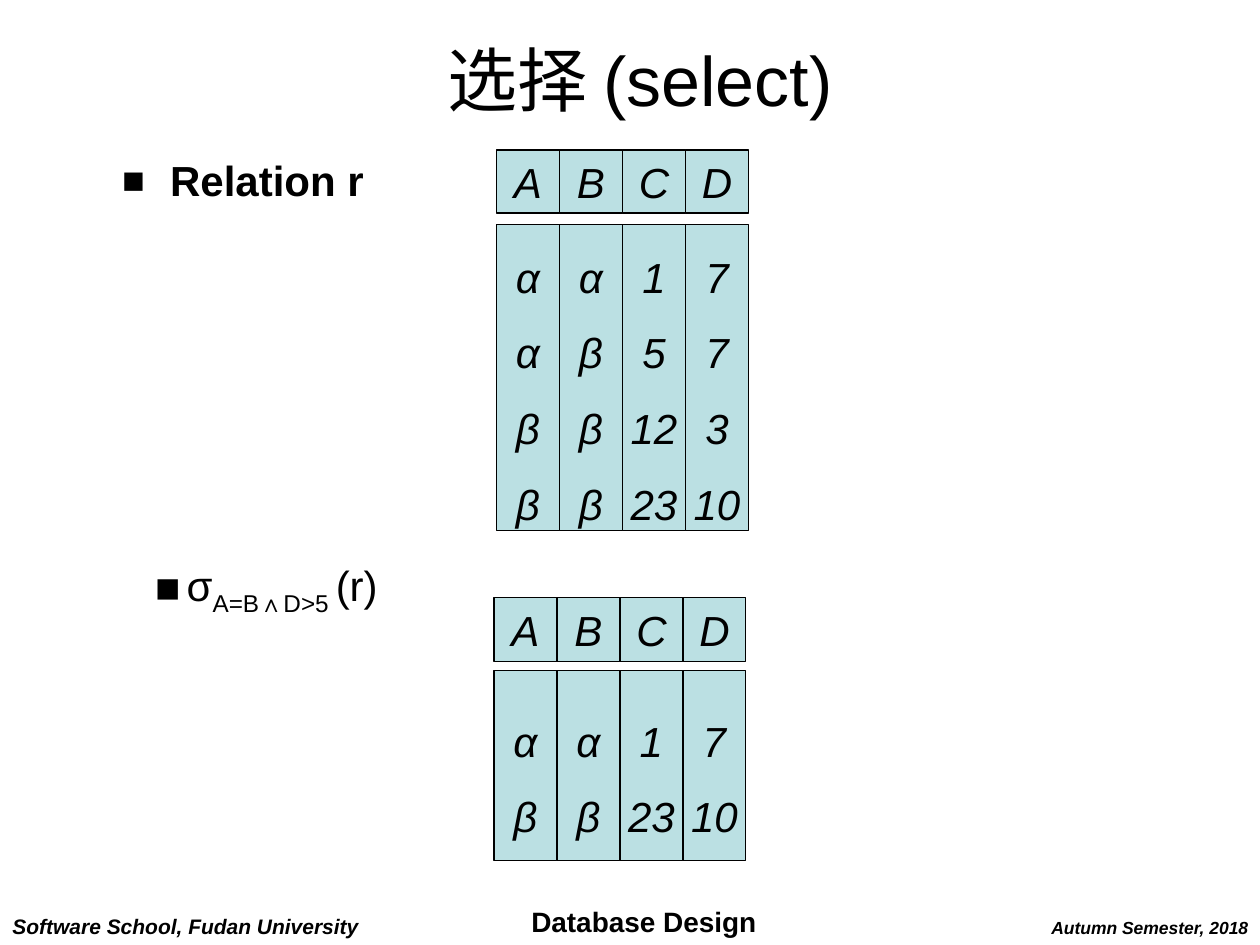
from dataclasses import dataclass

import lxml.etree
import pptx
import pptx.dml.color
import pptx.enum.shapes
import pptx.enum.text
import pptx.oxml.ns
import pptx.util

Inches = pptx.util.Inches
ALIGN = pptx.enum.text.PP_ALIGN
ANCHOR = pptx.enum.text.MSO_ANCHOR
AUTO_SIZE = pptx.enum.text.MSO_AUTO_SIZE

FONT = "Arial"
BLACK = "000000"
CELL_FILL = "BBE0E3"
COLUMN_WIDTH = 0.5


@dataclass
class Box:
    left: float
    top: float
    width: float
    height: float

    def lengths(self) -> tuple:
        return tuple(map(Inches, (self.left, self.top, self.width, self.height)))


@dataclass
class Footer:
    text: str
    box: Box
    size: int
    italic: bool
    alignment: ALIGN


@dataclass
class Relation:
    left: float
    header_top: float
    header_height: float
    body_top: float
    body_height: float
    columns: dict[str, list[str]]


FOOTERS = [
    Footer("Autumn Semester, 2018", Box(8.24, 7.23, 1.77, 0.27), 10, True, ALIGN.CENTER),
    Footer("Database Design", Box(4.06, 7.13, 2.1, 0.37), 16, False, ALIGN.CENTER),
    Footer("Software School, Fudan University", Box(0, 7.2, 2.95, 0.3), 12, True, ALIGN.LEFT),
]

RELATIONS = [
    Relation(3.94, 1.19, 0.5, 1.78, 2.43, {
        "A": ["α", "α", "β", "β"],
        "B": ["α", "β", "β", "β"],
        "C": ["1", "5", "12", "23"],
        "D": ["7", "7", "3", "10"],
    }),
    Relation(3.92, 4.74, 0.51, 5.32, 1.51, {
        "A": ["α", "β"],
        "B": ["α", "β"],
        "C": ["1", "23"],
        "D": ["7", "10"],
    }),
]


def rgb(color: str) -> pptx.dml.color.RGBColor:
    return pptx.dml.color.RGBColor.from_string(color)


def format_text(text_frame, size: int, alignment: ALIGN, bold: bool = False,
                italic: bool = False, line_spacing: float = 1.0) -> None:
    for paragraph in text_frame.paragraphs:
        paragraph.alignment = alignment
        paragraph.line_spacing = line_spacing
        paragraph.space_before = pptx.util.Pt(0)
        for run in paragraph.runs:
            run.font.name = FONT
            run.font.size = pptx.util.Pt(size)
            run.font.bold = bold
            run.font.italic = italic
            run.font.color.rgb = rgb(BLACK)


def add_bullet(paragraph, indent: float, percent: int) -> None:
    """Give the paragraph a square bullet with a hanging indent in inches."""
    properties = paragraph._p.get_or_add_pPr()
    properties.set("marL", str(Inches(indent)))
    properties.set("indent", str(-Inches(indent)))

    def add(parent, tag: str, **attributes: str):
        return lxml.etree.SubElement(parent, pptx.oxml.ns.qn(tag), attributes)

    add(add(properties, "a:buClr"), "a:srgbClr", val=BLACK)
    add(properties, "a:buSzPct", val=str(percent * 1000))
    add(properties, "a:buFont", typeface=FONT)
    add(properties, "a:buChar", char="■")


def place(shape, box: Box) -> None:
    shape.left, shape.top, shape.width, shape.height = box.lengths()


def add_cell(slide, box: Box, text: str, line_spacing: float) -> None:
    shape = slide.shapes.add_shape(pptx.enum.shapes.MSO_SHAPE.RECTANGLE, *box.lengths())
    shape.shadow.inherit = False
    shape.fill.solid()
    shape.fill.fore_color.rgb = rgb(CELL_FILL)
    shape.line.color.rgb = rgb(BLACK)
    shape.line.width = pptx.util.Pt(0.75)
    text_frame = shape.text_frame
    text_frame.word_wrap = False
    text_frame.vertical_anchor = ANCHOR.MIDDLE
    text_frame.text = text
    format_text(text_frame, 24, ALIGN.CENTER, italic=True, line_spacing=line_spacing)


def add_relation(slide, relation: Relation) -> None:
    """Draw a header cell and one tall value cell for each attribute."""
    for index, (name, values) in enumerate(relation.columns.items()):
        left = relation.left + index * COLUMN_WIDTH
        header = Box(left, relation.header_top, COLUMN_WIDTH, relation.header_height)
        body = Box(left, relation.body_top, COLUMN_WIDTH, relation.body_height)
        add_cell(slide, header, name, 1.0)
        add_cell(slide, body, "\n".join(values), 1.5)


def add_footer(slide, footer: Footer) -> None:
    text_frame = slide.shapes.add_textbox(*footer.box.lengths()).text_frame
    text_frame.word_wrap = False
    text_frame.auto_size = AUTO_SIZE.SHAPE_TO_FIT_TEXT
    text_frame.text = footer.text
    format_text(text_frame, footer.size, footer.alignment, bold=True, italic=footer.italic)


def add_title(slide) -> None:
    title = slide.shapes.title
    place(title, Box(0.58, 0, 9, 1.25))
    title.text_frame.text = "选择 (select)"
    title.text_frame.auto_size = AUTO_SIZE.NONE
    title.text_frame.vertical_anchor = ANCHOR.MIDDLE
    format_text(title.text_frame, 40, ALIGN.CENTER)


def add_relation_label(slide) -> None:
    label = slide.placeholders[1]
    place(label, Box(0.87, 1.18, 2.54, 0.4))
    label.text_frame.text = "Relation r"
    label.text_frame.auto_size = AUTO_SIZE.NONE
    format_text(label.text_frame, 24, ALIGN.LEFT, bold=True)
    add_bullet(label.text_frame.paragraphs[0], 0.38, 90)


def add_selection_label(slide) -> None:
    box = Box(1.13, 4.39, 1.97, 0.56)
    text_frame = slide.shapes.add_textbox(*box.lengths()).text_frame
    text_frame.word_wrap = False
    text_frame.auto_size = AUTO_SIZE.SHAPE_TO_FIT_TEXT
    text_frame.vertical_anchor = ANCHOR.MIDDLE
    paragraph = text_frame.paragraphs[0]
    for text in ("σ", "A=B∧D>5 ", "(r)"):
        paragraph.add_run().text = text
    format_text(text_frame, 24, ALIGN.CENTER)
    add_bullet(paragraph, 0.25, 100)
    condition = paragraph.runs[1]
    condition._r.get_or_add_rPr().set("baseline", "-25000")


def main() -> None:
    presentation = pptx.Presentation()
    presentation.slide_width = Inches(10)
    presentation.slide_height = Inches(7.5)
    slide = presentation.slides.add_slide(presentation.slide_layouts[1])
    for footer in FOOTERS:
        add_footer(slide, footer)
    add_title(slide)
    add_relation_label(slide)
    add_selection_label(slide)
    for relation in RELATIONS:
        add_relation(slide, relation)
    presentation.save("out.pptx")


if __name__ == "__main__":
    main()
